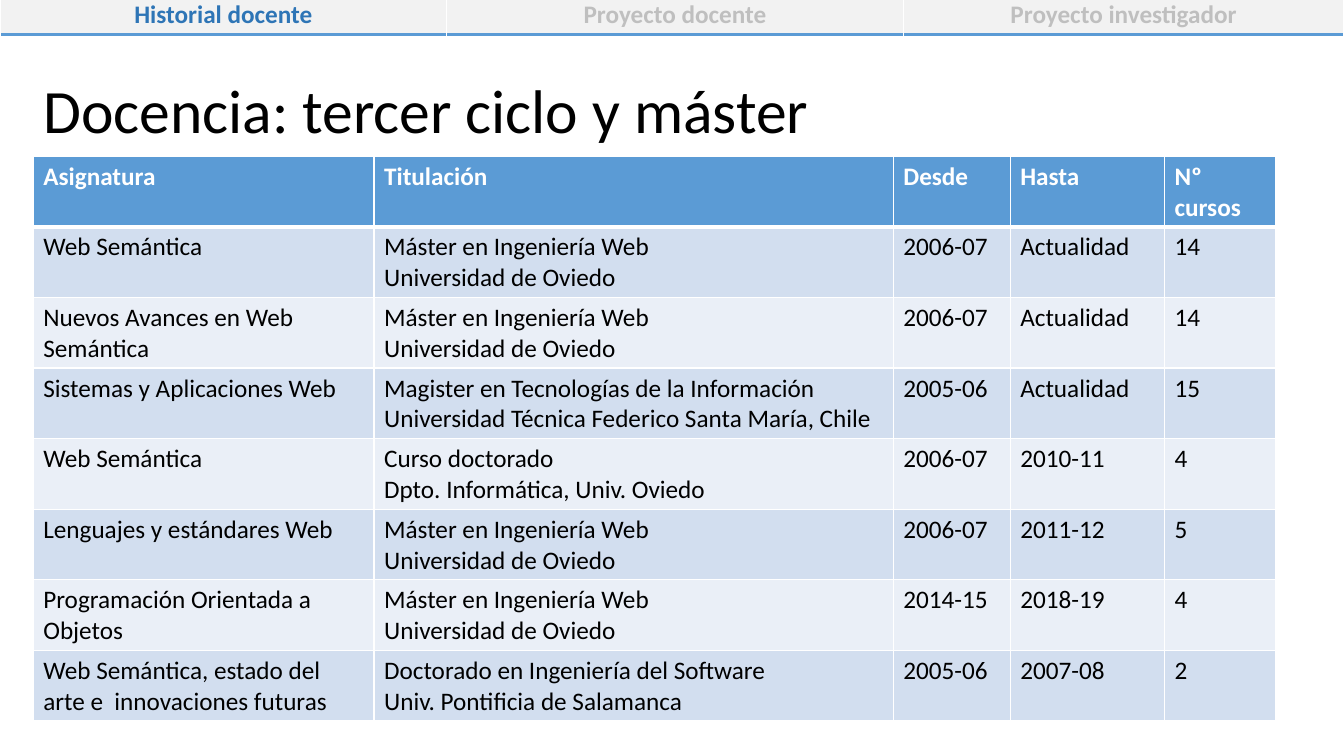
from pptx import Presentation
from pptx.dml.color import RGBColor as RGB
from pptx.enum.text import MSO_ANCHOR as Anchor, PP_ALIGN as Align
from pptx.oxml import parse_xml
from pptx.oxml.ns import nsdecls
from pptx.util import Inches, Pt

COLORS = {
    "white": "FFFFFF", "black": "000000", "blue": "5B9BD5", "band": "D2DEEF",
    "pale": "EAEFF7", "tab": "F2F2F2", "active": "2E75B6", "inactive": "BFBFBF",
}
FONT = "Calibri"
TITLE = "Docencia: tercer ciclo y máster"
SECTIONS = ["Historial docente", "Proyecto docente", "Proyecto investigador"]
SECTION_WIDTHS = [4.43, 4.53, 4.37]
WEB_MASTER = "Máster en Ingeniería Web\nUniversidad de Oviedo"
COURSES = [
    ("Asignatura", "Titulación", "Desde", "Hasta", "Nº\ncursos"),
    ("Web Semántica", WEB_MASTER, "2006-07", "Actualidad", "14"),
    ("Nuevos Avances en Web Semántica", WEB_MASTER, "2006-07", "Actualidad", "14"),
    ("Sistemas y Aplicaciones Web",
     "Magister en Tecnologías de la Información\n"
     "Universidad Técnica Federico Santa María, Chile",
     "2005-06", "Actualidad", "15"),
    ("Web Semántica", "Curso doctorado\nDpto. Informática, Univ. Oviedo",
     "2006-07", "2010-11", "4"),
    ("Lenguajes y estándares Web", WEB_MASTER, "2006-07", "2011-12", "5"),
    ("Programación Orientada a Objetos", WEB_MASTER, "2014-15", "2018-19", "4"),
    ("Web Semántica, estado del arte e  innovaciones futuras",
     "Doctorado en Ingeniería del Software\nUniv. Pontificia de Salamanca",
     "2005-06", "2007-08", "2"),
]
COURSE_WIDTHS = [3.38, 5.15, 1.16, 1.53, 1.1]


def write(frame, text, color, size=18, bold=False, **paragraph_format):
    frame.text = text
    font_format = {"name": FONT, "size": Pt(size), "bold": bold}
    for paragraph in frame.paragraphs:
        for name, value in paragraph_format.items():
            setattr(paragraph, name, value)
        for run in paragraph.runs:
            for name, value in font_format.items():
                setattr(run.font, name, value)
            run.font.color.rgb = RGB.from_string(COLORS[color])


def paint(cell, fill, borders):
    """Borders map a side (L, R, T, B) to a colour and a width in points."""
    cell.fill.solid()
    cell.fill.fore_color.rgb = RGB.from_string(COLORS[fill])
    properties = cell._tc.get_or_add_tcPr()
    for position, (side, (color, width)) in enumerate(borders.items()):
        properties.insert(position, parse_xml(
            f'<a:ln{side} {nsdecls("a")} w="{Pt(width)}"><a:solidFill>'
            f'<a:srgbClr val="{COLORS[color]}"/></a:solidFill></a:ln{side}>'))


def add_grid(slide, left, top, widths, row_count, row_height):
    grid = slide.shapes.add_table(
        row_count, len(widths), Inches(left), Inches(top),
        Inches(sum(widths)), Inches(row_height * row_count)).table
    grid.first_row = grid.horz_banding = False
    for column, width in zip(grid.columns, widths):
        column.width = Inches(width)
    for row in grid.rows:
        row.height = Inches(row_height)
    return grid


def main():
    deck = Presentation()
    deck.slide_width, deck.slide_height = Inches(13.33), Inches(7.5)
    slide = deck.slides.add_slide(deck.slide_layouts[6])

    # Title
    title = slide.shapes.add_textbox(
        Inches(0.33), Inches(0.4), Inches(12.08), Inches(1.45)).text_frame
    title.word_wrap = True
    title.vertical_anchor = Anchor.MIDDLE
    write(title, TITLE, "black", size=44, line_spacing=0.9)

    # Courses, with a header row and banded rows
    thin = ("white", 1)
    courses = add_grid(slide, 0.33, 1.55, COURSE_WIDTHS, len(COURSES), 0.7)
    for r, course in enumerate(COURSES):
        header = r == 0
        fill = "blue" if header else ("pale", "band")[r % 2]
        borders = {"L": thin, "R": thin, "T": ("white", 3) if r == 1 else thin,
                   "B": ("white", 3) if header else thin}
        for c, text in enumerate(course):
            cell = courses.cell(r, c)
            write(cell.text_frame, text, "white" if header else "black", bold=header)
            paint(cell, fill, borders)

    # Section bar along the top edge
    sections = add_grid(slide, 0, -0.06, SECTION_WIDTHS, 1, 0.4)
    for c, section in enumerate(SECTIONS):
        cell = sections.cell(0, c)
        write(cell.text_frame, section, "inactive" if c else "active",
              bold=True, alignment=Align.CENTER)
        paint(cell, "tab", {"L": thin, "R": thin, "B": ("blue", 2.25)})

    deck.save("out.pptx")


if __name__ == "__main__":
    main()
